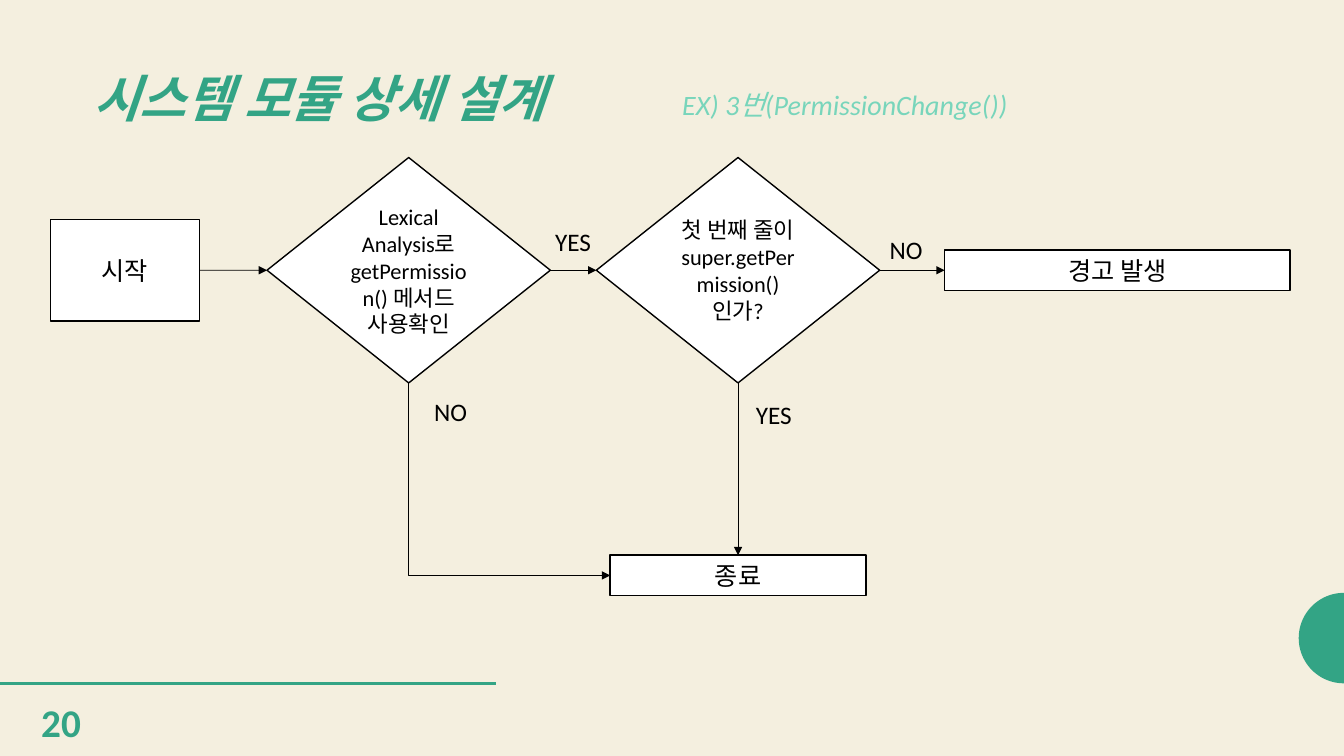
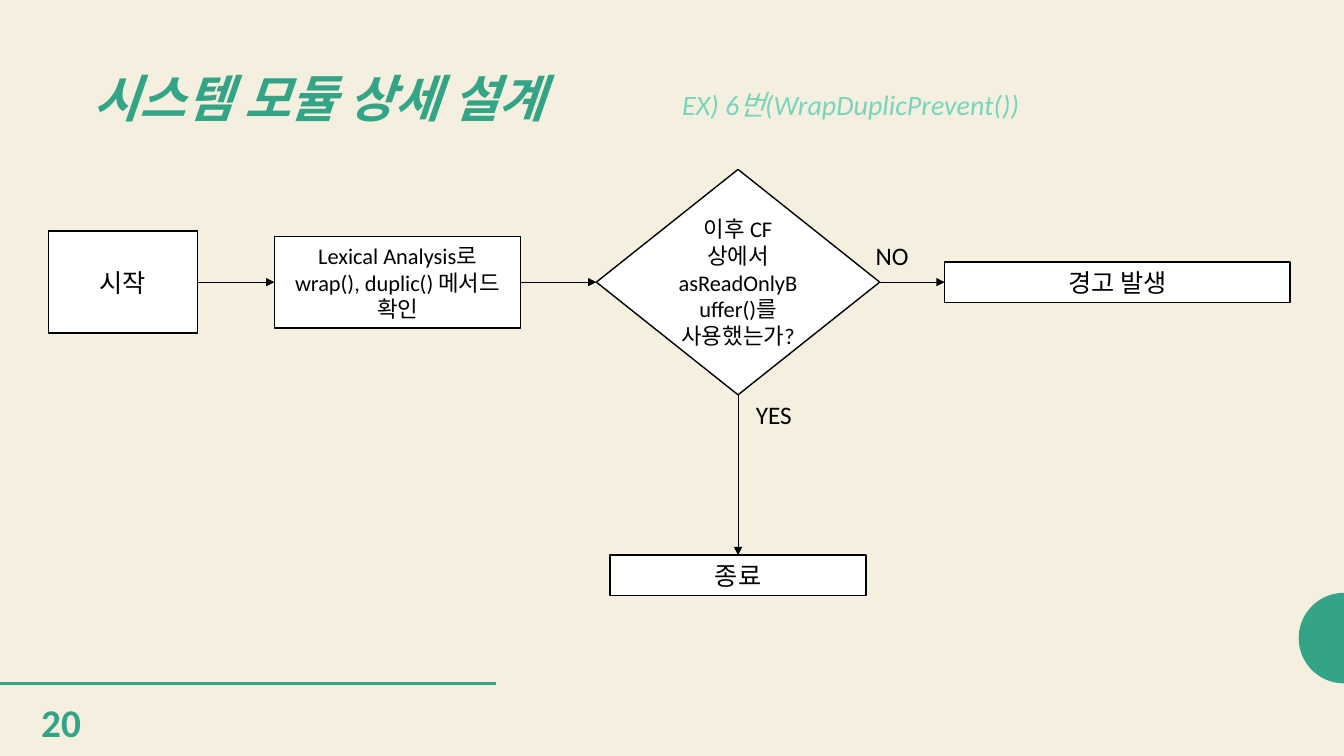
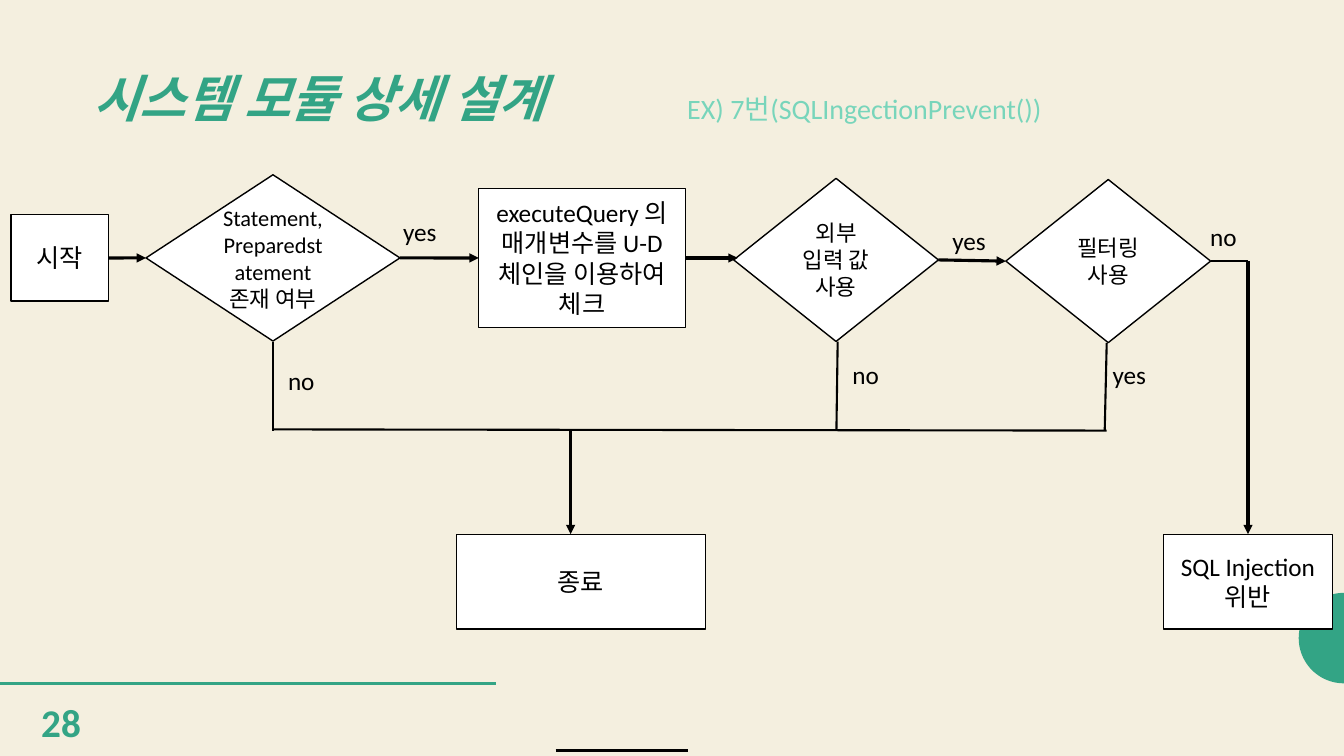
from math import cos, pi, sin

from lxml import etree
from pptx import Presentation
from pptx.dml.color import RGBColor
from pptx.enum.shapes import MSO_CONNECTOR, MSO_SHAPE
from pptx.enum.text import MSO_ANCHOR, PP_ALIGN
from pptx.oxml.ns import qn
from pptx.util import Cm, Pt

RECT, DIAMOND = MSO_SHAPE.RECTANGLE, MSO_SHAPE.DIAMOND
STRAIGHT, ELBOW = MSO_CONNECTOR.STRAIGHT, MSO_CONNECTOR.ELBOW
TOP, MIDDLE = MSO_ANCHOR.TOP, MSO_ANCHOR.MIDDLE
LEFT, CENTER = PP_ALIGN.LEFT, PP_ALIGN.CENTER

FONT = "Calibri"
CREAM, GREEN, MINT = "F4EFDF", "33A485", "78D5BB"
BLACK, WHITE = "000000", "FFFFFF"
WIDE, HIGH = 33.87, 19.05

# Connection sites of a box
ABOVE, BEFORE, BELOW, AFTER = range(4)

# Sizes that recur, in centimetres
START = (3.76, 2.57)
CHOICE = (7.14, 5.68)
WARN = (8.71, 1.02)
END = (6.45, 1.02)
SMALL = (5.16, 4.11)
LABEL = {"YES": 1.93, "NO": 1.55, "yes": 1.65, "no": 1.3}


def color(code):
    return RGBColor.from_string(code)


# Text
def write(shape, lines, size, ink=BLACK, align=LEFT, anchor=TOP,
          bold=False, slant=False, pitch=None):
    frame = shape.text_frame
    frame.word_wrap = True
    frame.vertical_anchor = anchor
    for i, line in enumerate(lines):
        para = frame.add_paragraph() if i else frame.paragraphs[0]
        para.alignment = align
        if pitch:
            para.line_spacing = pitch
        run = para.add_run()
        run.text = line
        font = run.font
        font.name, font.size = FONT, Pt(size)
        font.bold, font.italic = bold, slant
        font.color.rgb = color(ink)


def note(slide, x, y, w, h, line, size, **style):
    area = slide.shapes.add_textbox(Cm(x), Cm(y), Cm(w), Cm(h))
    write(area, [line], size, **style)


def label(slide, x, y, word):
    note(slide, x, y, LABEL[word], 1.02, word, 18)


# Flowchart box, placed by its centre
def box(slide, kind, x, y, size, *lines, points=18):
    w, h = size
    shape = slide.shapes.add_shape(
        kind, Cm(x - w / 2), Cm(y - h / 2), Cm(w), Cm(h))
    shape.shadow.inherit = False
    shape.fill.solid()
    shape.fill.fore_color.rgb = color(WHITE)
    shape.line.color.rgb = color(BLACK)
    shape.line.width = Pt(1)
    write(shape, lines, points, align=CENTER, anchor=MIDDLE)
    return shape


# Lines and arrows
def line(slide, x1, y1, x2, y2, width, ink=BLACK, arrow=False, kind=STRAIGHT):
    wire = slide.shapes.add_connector(kind, Cm(x1), Cm(y1), Cm(x2), Cm(y2))
    wire.line.color.rgb = color(ink)
    wire.line.width = Pt(width)
    if arrow:
        stroke = wire.line._get_or_add_ln()
        etree.SubElement(stroke, qn("a:tailEnd"), type="triangle")
    etree.SubElement(wire._element.spPr, qn("a:effectLst"))
    return wire


def link(slide, a, b, width, out=AFTER, into=BEFORE):
    wire = line(slide, 0, 0, 1, 1, width, arrow=True)
    wire.begin_connect(a, out)
    wire.end_connect(b, into)


def corner(slide, x1, y1, x2, y2, width):
    """Arrow that runs down, then right: a mirrored bend turned by 270 degrees."""
    x, y = (x1 + x2) / 2, (y1 + y2) / 2
    dx, dy = (y2 - y1) / 2, (x2 - x1) / 2
    wire = line(slide, x + dx, y - dy, x - dx, y + dy, width,
                arrow=True, kind=ELBOW)
    props = wire._element.spPr
    props.find(qn("a:prstGeom")).set("prst", "bentConnector2")
    props.find(qn("a:xfrm")).set("rot", str(270 * 60000))


# Shared frame: half disc, rule, title, number, subtitle
def disc(slide):
    y, r, steps = 16.08, 1.14, 48
    turns = [pi * i / steps for i in range(steps + 1)]
    dots = [(Cm(WIDE - r * sin(t)), Cm(y + r * cos(t))) for t in turns]
    path = slide.shapes.build_freeform(*dots[0])
    path.add_line_segments(dots[1:], close=True)
    half = path.convert_to_shape()
    half.shadow.inherit = False
    half.fill.solid()
    half.fill.fore_color.rgb = color(GREEN)
    half.line.fill.background()


def start(deck, number, topic, x=16.94, w=12.57, slant=True, pitch=None):
    slide = deck.slides.add_slide(deck.slide_layouts[6])
    disc(slide)
    line(slide, 0, 17.22, 12.5, 17.22, 2, GREEN)
    note(slide, 2.11, 1.55, 14.48, 2.01, "시스템 모듈 상세 설계", 36, ink=GREEN,
         anchor=MIDDLE, bold=True, slant=True, pitch=0.9)
    note(slide, 0.79, 17.48, 1.88, 1.45, number, 28, ink=GREEN, bold=True)
    note(slide, x, 2.08, w, 1.5, topic, 20, ink=MINT, slant=slant, pitch=pitch)
    return slide


# Right half that the first two charts have in common
def finish(slide, y, test):
    end = box(slide, RECT, 18.6, 14.5, END, "종료")
    choice = box(slide, DIAMOND, 18.6, y, CHOICE, test, points=16)
    warn = box(slide, RECT, 28.16, y, WARN, "경고 발생")
    link(slide, choice, end, 0.5, BELOW, ABOVE)
    link(slide, choice, warn, 0.5)
    label(slide, 18.8, 9.93, "YES")
    return choice


def permit(deck):
    slide = start(deck, "20", "EX) 3번(PermissionChange())")
    y = 6.81
    last = finish(slide, y, "첫 번째 줄이 super.getPermission()인가?")
    first = box(slide, RECT, 3.15, y, START, "시작")
    scan = box(slide, DIAMOND, 10.3, y, CHOICE,
               "Lexical Analysis로 getPermission() 메서드 사용확인", points=16)
    link(slide, first, scan, 0.5)
    link(slide, scan, last, 0.5)
    corner(slide, 10.3, 9.65, 15.38, 14.5, 0.5)
    label(slide, 22.17, 5.79, "NO")
    label(slide, 13.74, 5.59, "YES")
    label(slide, 10.69, 9.86, "NO")


def wrap(deck):
    slide = start(deck, "20", "EX) 6번(WrapDuplicPrevent())")
    y = 7.11
    last = finish(slide, y, "이후 CF 상에서 asReadOnlyBuffer()를 사용했는가?")
    first = box(slide, RECT, 3.1, y, START, "시작")
    scan = box(slide, RECT, 10.02, y, (6.21, 2.31),
               "Lexical Analysis로 wrap(), duplic() 메서드 확인", points=16)
    link(slide, first, scan, 0.5)
    link(slide, scan, last, 0.5)
    label(slide, 21.82, 5.94, "NO")


def query(deck):
    slide = start(deck, "28", "EX) 7번(SQLIngectionPrevent())",
                  x=17.07, w=16.8, slant=False, pitch=1.12)
    # Steps
    y = 6.5
    first = box(slide, RECT, 1.51, y, (2.46, 2.18), "시작")
    state = box(slide, DIAMOND, 6.88, y, (6.4, 4.19),
                "Statement, Preparedstatement 존재 여부", points=16)
    check = box(slide, RECT, 14.67, y, (5.21, 3.51),
                "executeQuery 의 매개변수를 U-D 체인을 이용하여 체크")
    value = box(slide, DIAMOND, 21.07, 6.55, SMALL,
                "외부 입력 값", "사용", points=16)
    sift = box(slide, DIAMOND, 27.93, 6.58, SMALL, "필터링", "사용", points=16)
    box(slide, RECT, 14.64, 14.66, (6.27, 2.39), "종료")
    box(slide, RECT, 31.45, 14.66, (4.27, 2.39), "SQL Injection", "위반")
    # Arrows
    for a, b in ((first, state), (state, check), (value, sift)):
        link(slide, a, b, 2.25)
    for ends in ((17.27, y, 18.59, y), (14.38, 10.82, 14.38, 13.46),
                 (31.45, 6.58, 31.45, 13.46)):
        line(slide, *ends, 2.25, arrow=True)
    # Plain lines
    for ends in ((6.88, 8.61, 6.88, 10.85), (21.11, 8.61, 21.08, 10.82),
                 (27.89, 8.64, 27.84, 10.85), (6.88, 10.82, 27.89, 10.85),
                 (30.51, 6.58, 31.45, 6.58)):
        line(slide, *ends, 1.5)
    line(slide, 14, 18.92, 17.35, 18.92, 2.25)
    # Answers
    for x, top, word in ((9.91, 5.33, "yes"), (27.79, 8.92, "yes"),
                         (23.75, 5.56, "yes"), (7.01, 9.07, "no"),
                         (21.23, 8.92, "no"), (30.25, 5.44, "no")):
        label(slide, x, top, word)


def main():
    deck = Presentation()
    deck.slide_width, deck.slide_height = Cm(WIDE), Cm(HIGH)
    back = deck.slide_master.background.fill
    back.solid()
    back.fore_color.rgb = color(CREAM)
    permit(deck)
    wrap(deck)
    query(deck)
    deck.save("out.pptx")


if __name__ == "__main__":
    main()
